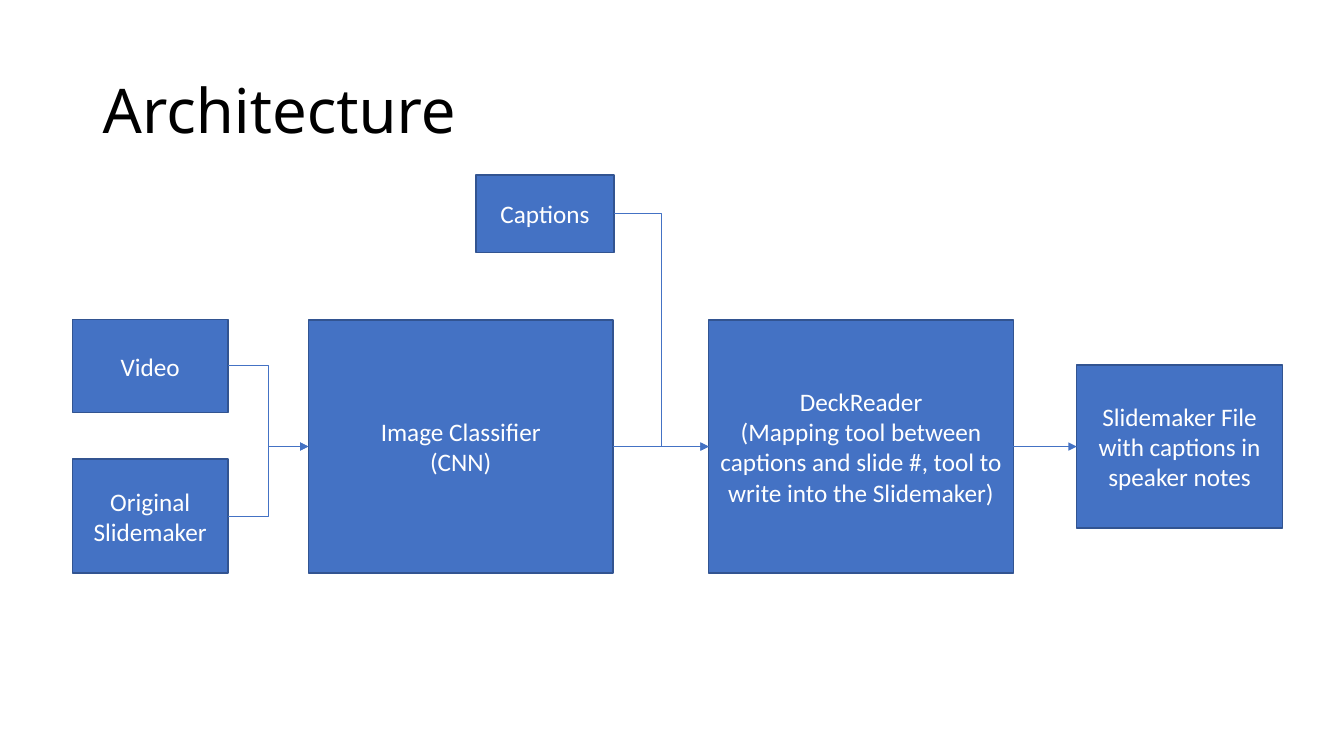
"""Build the Architecture slide: boxes joined by arrows."""
from lxml.etree import SubElement
from pptx import Presentation
from pptx.dml.color import RGBColor as RGB
from pptx.enum.shapes import MSO_CONNECTOR as LINK, MSO_SHAPE as SHAPE
from pptx.enum.text import MSO_ANCHOR as ANCHOR, PP_ALIGN as ALIGN
from pptx.oxml.ns import qn
from pptx.util import Inches, Pt

TITLE = "Architecture"
COLORS = {"box": "4472C4", "edge": "325491", "text": "FFFFFF", "title": "000000"}
MID = 4.43
BIG = (3.02, 2.51)
BOXES = {
    "model": (3.06, MID, *BIG, ["Image Classifier", "(CNN)"]),
    "video": (0.72, 3.63, 1.54, 0.92, ["Video"]),
    "deck": (0.72, 5.12, 1.54, 1.13, ["Original Slidemaker"]),
    "captions": (4.72, 2.12, 1.37, 0.77, ["Captions"]),
    "reader": (7.03, MID, *BIG, [
        "DeckReader",
        "(Mapping tool between captions and slide #, tool to write into the Slidemaker)"]),
    "result": (10.68, MID, 2.04, 1.62, ["Slidemaker File with captions in speaker notes"]),
}
LINKS = [
    ("captions", "reader", LINK.ELBOW),
    ("model", "reader", LINK.STRAIGHT),
    ("deck", "model", LINK.ELBOW),
    ("video", "model", LINK.ELBOW),
    ("reader", "result", LINK.STRAIGHT),
]
LEFT, RIGHT = 1, 3


def color(name):
    return RGB.from_string(COLORS[name])


def write(frame, lines, size, face, tone, align):
    frame.word_wrap = True
    frame.vertical_anchor = ANCHOR.MIDDLE
    frame.text = "\n".join(lines)
    for para in frame.paragraphs:
        para.alignment = align
        para.font.size = Pt(size)
        para.font.name = face
        para.font.color.rgb = color(tone)


def add_box(slide, left, mid, width, height, lines):
    box = slide.shapes.add_shape(
        SHAPE.RECTANGLE, Inches(left), Inches(mid - height / 2),
        Inches(width), Inches(height))
    box.shadow.inherit = False
    box.fill.solid()
    box.fill.fore_color.rgb = color("box")
    box.line.color.rgb = color("edge")
    box.line.width = Pt(1)
    write(box.text_frame, lines, 18, "Calibri", "text", ALIGN.CENTER)
    return box


def add_link(slide, start, end, kind):
    link = slide.shapes.add_connector(
        kind, start.left + start.width, start.top + start.height // 2,
        end.left, end.top + end.height // 2)
    link.begin_connect(start, RIGHT)
    link.end_connect(end, LEFT)
    link.line.color.rgb = color("box")
    link.line.width = Pt(0.5)
    SubElement(link.line._get_or_add_ln(), qn("a:tailEnd"), type="triangle")
    SubElement(link._element.spPr, qn("a:effectLst"))


deck = Presentation()
deck.slide_width, deck.slide_height = Inches(13.33), Inches(7.5)
slide = deck.slides.add_slide(deck.slide_layouts[6])

title = slide.shapes.add_textbox(Inches(0.92), Inches(0.4), Inches(11.5), Inches(1.45))
write(title.text_frame, [TITLE], 44, "Noto Sans", "title", ALIGN.LEFT)
title.text_frame.paragraphs[0].line_spacing = 0.9

boxes = {name: add_box(slide, *data) for name, data in BOXES.items()}
for start, end, kind in LINKS:
    add_link(slide, boxes[start], boxes[end], kind)

deck.save("out.pptx")
